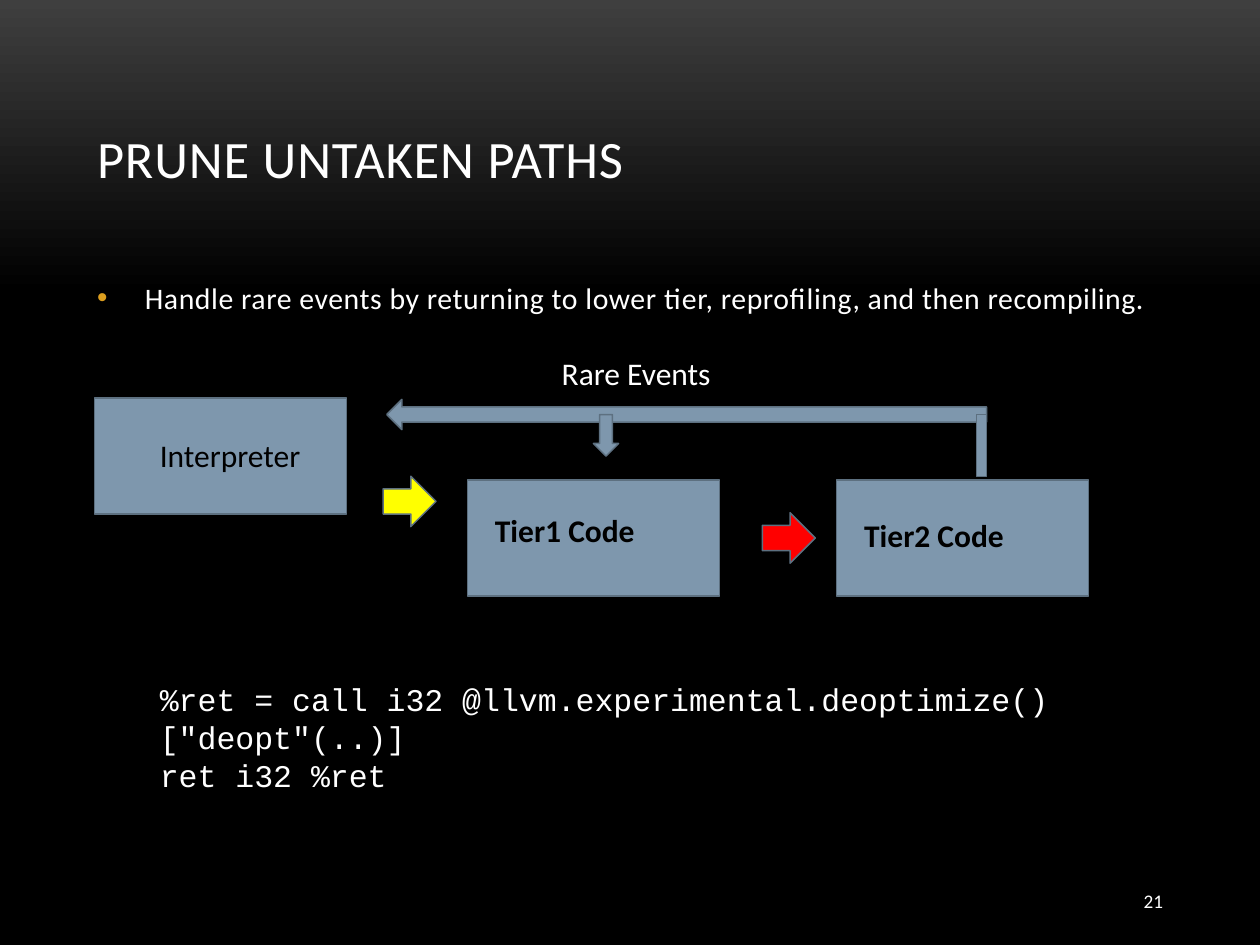
from lxml import etree
from pptx import Presentation
from pptx.dml.color import RGBColor
from pptx.enum.shapes import MSO_SHAPE
from pptx.enum.text import MSO_ANCHOR, MSO_AUTO_SIZE, PP_ALIGN
from pptx.oxml.ns import qn
from pptx.util import Pt

EMU_PER_PX = 9144  # 100 px to the inch
RECT = MSO_SHAPE.RECTANGLE
RIGHT_ARROW = MSO_SHAPE.RIGHT_ARROW
LEFT_ARROW = MSO_SHAPE.LEFT_ARROW
DOWN_ARROW = MSO_SHAPE.DOWN_ARROW
TOP, MIDDLE, BOTTOM = MSO_ANCHOR.TOP, MSO_ANCHOR.MIDDLE, MSO_ANCHOR.BOTTOM
LEFT, RIGHT = PP_ALIGN.LEFT, PP_ALIGN.RIGHT
COLORS = {
    "glow": "3F3F3F",
    "black": "000000",
    "white": "FFFFFF",
    "steel": "7E97AD",
    "edge": "5D7080",
    "yellow": "FFFF00",
    "red": "FF0000",
    "bullet": "DC9E1F",
}
BOX_WIDTH, BOX_HEIGHT = 200, 92


def px(length):
    return length * EMU_PER_PX


def rgb(name):
    return RGBColor.from_string(COLORS[name])


def paint_background(slide):
    fill = slide.background.fill
    fill.gradient()
    fill.gradient_angle = 270
    for stop, position, color in zip(fill.gradient_stops, (0, 0.31), ("glow", "black")):
        stop.position = position
        stop.color.rgb = rgb(color)


def write(shape, text, size, color="white", font="Calibri", bold=False,
          align=LEFT, anchor=TOP, spacing=0):
    frame = shape.text_frame
    frame.text = text
    frame.word_wrap = True
    frame.auto_size = MSO_AUTO_SIZE.NONE
    frame.vertical_anchor = anchor
    paragraph = frame.paragraphs[0]
    paragraph.alignment = align
    for run in paragraph.runs:
        run.font.size = Pt(size)
        run.font.name = font
        run.font.bold = bold
        run.font.color.rgb = rgb(color)
        if spacing:
            run.font._element.set("spc", str(spacing))
    return paragraph


def place(shape, left, top, width, height):
    shape.left, shape.top = px(left), px(top)
    shape.width, shape.height = px(width), px(height)


def add_label(slide, left, top, width, height, text, size=18, **style):
    label = slide.shapes.add_textbox(px(left), px(top), px(width), px(height))
    write(label, text, size, **style)


def add_block(slide, kind, left, top, width, height, color="steel"):
    block = slide.shapes.add_shape(kind, px(left), px(top), px(width), px(height))
    block.shadow.inherit = False
    block.fill.solid()
    block.fill.fore_color.rgb = rgb(color)
    block.line.color.rgb = rgb("edge")
    block.line.width = Pt(0.85)


def set_bullet(paragraph, indent):
    properties = paragraph._p.get_or_add_pPr()
    properties.set("marL", str(px(indent)))
    properties.set("indent", str(-px(indent)))
    bullet_color = etree.SubElement(properties, qn("a:buClr"))
    etree.SubElement(bullet_color, qn("a:srgbClr"), val=COLORS["bullet"])
    etree.SubElement(properties, qn("a:buFont"), typeface="Arial")
    etree.SubElement(properties, qn("a:buChar"), char="•")


def main():
    presentation = Presentation()
    presentation.slide_width, presentation.slide_height = px(1000), px(750)
    slide = presentation.slides.add_slide(presentation.slide_layouts[1])
    paint_background(slide)

    # Title and bullet
    title, body = slide.placeholders
    place(title, 67, 30, 867, 125)
    write(title, "PRUNE UNTAKEN PATHS", 30, anchor=BOTTOM, spacing=50)
    place(body, 67, 175, 867, 100)
    point = write(
        body,
        "Handle rare events by returning to lower tier, reprofiling, and then recompiling.",
        17, spacing=30)
    body.text_frame.margin_top = px(47)
    point.space_before = Pt(0)
    set_bullet(point, 38)

    # Execution tiers: box corner, label corner and width
    tiers = [
        ("Interpreter", 75, 316, 117, 341, 142, False),
        ("Tier1 Code", 371, 381, 383, 401, 176, True),
        ("Tier2 Code", 664, 381, 676, 405, 175, True),
    ]
    for name, left, top, label_left, label_top, label_width, bold in tiers:
        add_block(slide, RECT, left, top, BOX_WIDTH, BOX_HEIGHT)
        add_label(slide, label_left, label_top, label_width, 40, name,
                  color="black", bold=bold)

    # Promotion to the next tier
    for left, top, color in [(304, 378, "yellow"), (605, 407, "red")]:
        add_block(slide, RIGHT_ARROW, left, top, 42, 40, color)

    # Return path for rare events
    add_block(slide, LEFT_ARROW, 307, 317, 476, 24)
    add_block(slide, DOWN_ARROW, 471, 329, 20, 33)
    add_block(slide, RECT, 775, 329, 8, 49)
    add_label(slide, 436, 276, 167, 40, "Rare Events")

    # Deoptimization code and page number
    add_label(slide, 117, 535, 858, 71,
              '%ret = call i32 @llvm.experimental.deoptimize() ["deopt"(..)]\vret i32 %ret',
              font="Courier New")
    add_label(slide, 825, 695, 108, 40, "21", size=11, align=RIGHT, anchor=MIDDLE)

    presentation.save("out.pptx")


if __name__ == "__main__":
    main()
